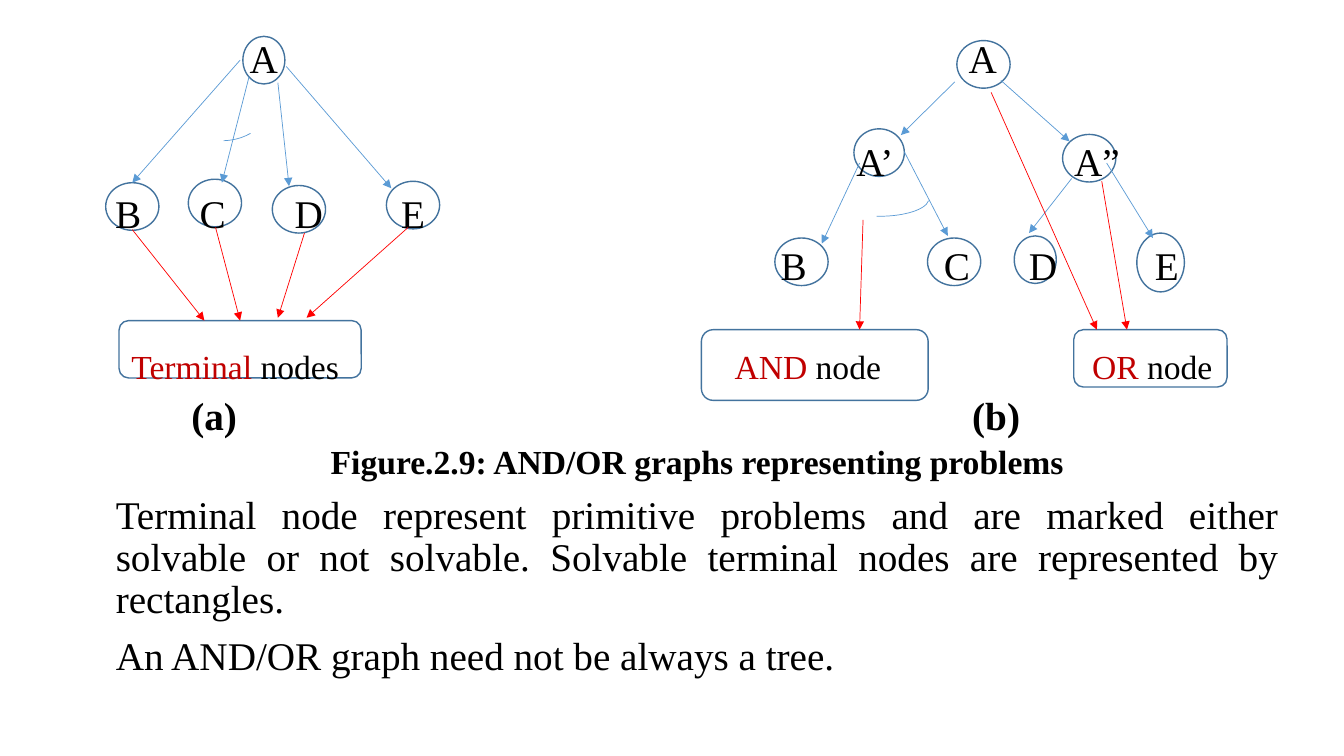
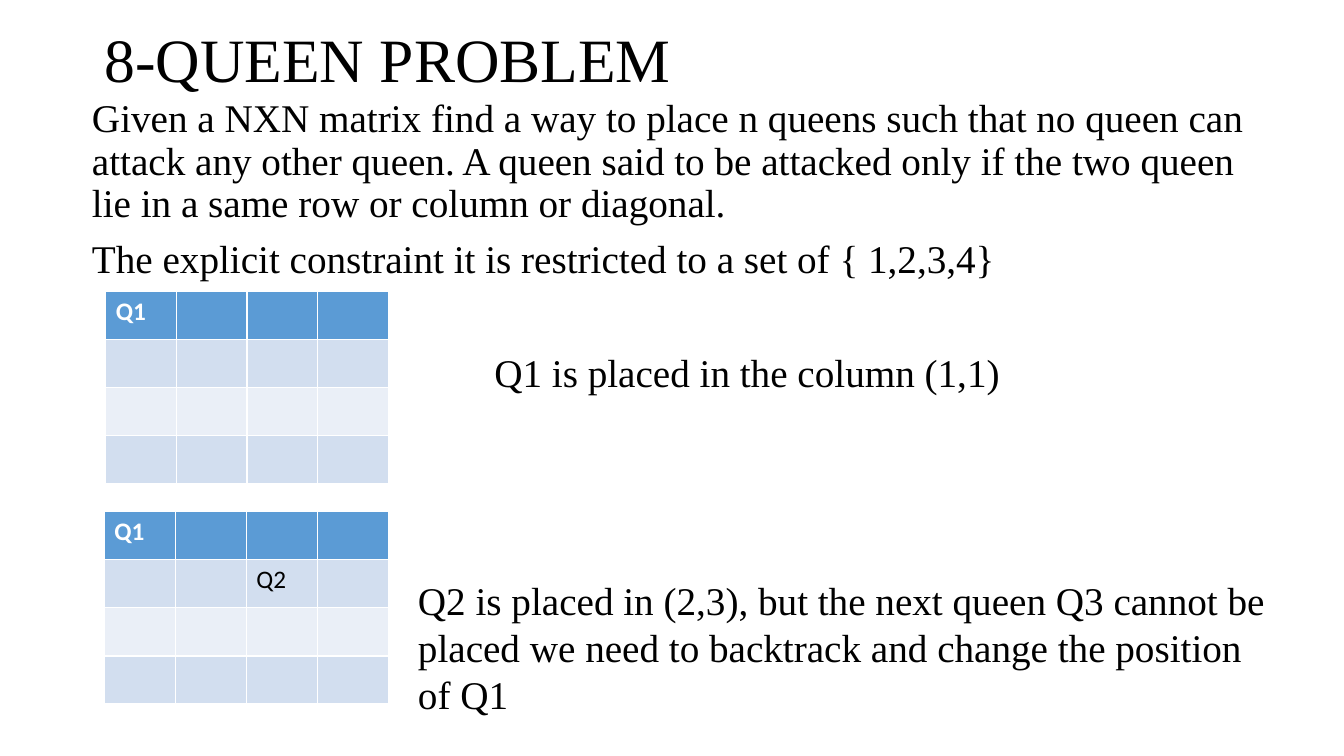
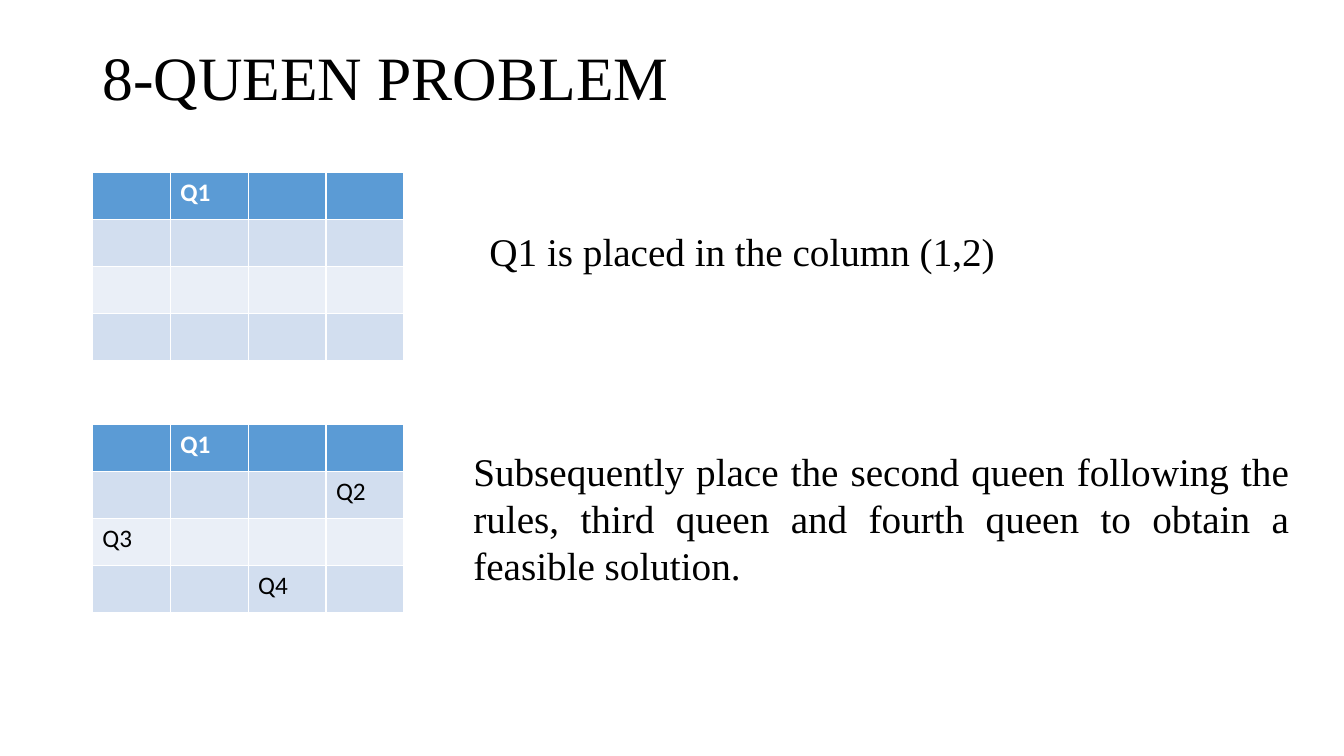
from lxml import etree
from pptx import Presentation
from pptx.dml.color import RGBColor
from pptx.enum.shapes import MSO_CONNECTOR, MSO_SHAPE
from pptx.enum.text import MSO_ANCHOR, MSO_AUTO_SIZE, PP_ALIGN
from pptx.oxml.ns import qn
from pptx.util import Pt

LEFT, CENTER, JUSTIFY = PP_ALIGN.LEFT, PP_ALIGN.CENTER, PP_ALIGN.JUSTIFY
TOP, MIDDLE = MSO_ANCHOR.TOP, MSO_ANCHOR.MIDDLE
ELLIPSE, ROUNDED, ARC = MSO_SHAPE.OVAL, MSO_SHAPE.ROUNDED_RECTANGLE, MSO_SHAPE.ARC
STRAIGHT = MSO_CONNECTOR.STRAIGHT
NO_AUTOFIT = MSO_AUTO_SIZE.NONE

COLORS = {
    "text": "000000", "outline": "43739E", "edge": "5B9BD5", "pointer": "FF0000",
    "keyword": "C00000", "header": "5B9BD5", "header_text": "FFFFFF",
    "band_dark": "D2DEEF", "band_light": "EAEFF7",
}
SERIF, SANS = "Times New Roman", "Calibri"
QUEEN_TITLE = "8-QUEEN PROBLEM"
BOARD_SIZE = 4

# Label, outline (left, top, width, height), label centre
NODES = [
    ("A", (173.5, 26, 30, 34), (188.5, 41.5)),
    ("B", (75.5, 130.5, 38, 34), (91.5, 152)),
    ("C", (134.5, 128, 38, 34), (152, 152)),
    ("D", (194.5, 132.5, 38, 34), (220.5, 152)),
    ("E", (276, 129.5, 38, 34), (295, 152)),
    ("A", (683.5, 29, 38, 34), (702, 41.5)),
    ("A’", (610, 92, 36, 34), (625, 115)),
    ("A”", (759, 96, 38, 34), (783.5, 115)),
    ("B", (553.5, 170, 38, 34), (567, 189.5)),
    ("C", (662.5, 170, 38, 34), (683.5, 189.5)),
    ("D", (724.5, 168.5, 30, 34), (745, 189.5)),
    ("E", (812, 166.5, 34, 42), (833.5, 189.5)),
]
# Keyword, outline, label centre
CALLOUTS = [
    (("Terminal", " nodes"), (85, 229, 173, 41), (168, 261.5)),
    (("AND", " node"), (501, 235.5, 162, 50.5), (577, 261.5)),
    (("OR", " node"), (767, 235.5, 109.5, 41), (823, 261.5)),
]
# Start x, start y, end x, end y
EDGES = [
    (171.5, 43, 94.5, 130.5), (178, 54.5, 158.5, 130.5),
    (198.5, 59, 206.5, 133), (204.5, 47.5, 279.5, 134.5),
    (682, 58.5, 643.5, 96.5), (715, 57.5, 764, 101),
    (614, 116.5, 587, 174), (646, 108.5, 677, 168.5),
    (765.5, 127.5, 735, 166.5), (790.5, 116.5, 823.5, 170),
]
POINTERS = [
    (94.5, 164, 146, 229), (154, 162.5, 171.5, 229),
    (217.5, 166.5, 198.5, 227), (291.5, 162.5, 219, 227),
    (616.5, 157, 614, 235.5), (708, 66, 783.5, 235.5), (787, 129.5, 805, 235.5),
]
# Outline, start angle, end angle
AND_ARCS = [
    ((124.5, 46, 68.5, 54.5), 47.45, 87.87),
    ((593.5, 129.5, 70, 25), 2.31, 100.64),
]


def rgb(name):
    return RGBColor.from_string(COLORS[name])


def points(values):
    return [Pt(value) for value in values]


def place(shape, box):
    shape.left, shape.top, shape.width, shape.height = points(box)


def style_span(span, size, color="text", bold=False, font=SERIF):
    span.font.size = Pt(size)
    span.font.name = font
    span.font.bold = bold
    span.font.color.rgb = rgb(color)


def style_para(para, size, align=LEFT, bold=False, spacing=1.0, before=0):
    para.alignment = align
    para.line_spacing = spacing
    para.space_before = Pt(before)
    for span in para.runs:
        style_span(span, size, bold=bold)


def remove_bullet(para):
    properties = para._p.get_or_add_pPr()
    properties.set("marL", "0")
    properties.set("indent", "0")
    etree.SubElement(properties, qn("a:buNone"))


def add_title(page, box):
    title = page.shapes.title
    place(title, box)
    frame = title.text_frame
    frame.text = QUEEN_TITLE
    frame.vertical_anchor = MIDDLE
    frame.auto_size = NO_AUTOFIT
    style_para(frame.paragraphs[0], 44, spacing=0.9)


def add_body(page, box, lines, align=LEFT):
    body = page.placeholders[1]
    place(body, box)
    frame = body.text_frame
    frame.text = "\n".join(lines)
    frame.vertical_anchor = TOP
    frame.auto_size = NO_AUTOFIT
    for para in frame.paragraphs:
        style_para(para, 28, align, spacing=0.9, before=10)
        remove_bullet(para)
    return frame


def add_text(page, box, text, align=LEFT, bold=False):
    frame = page.shapes.add_textbox(*points(box)).text_frame
    frame.word_wrap = True
    frame.text = text
    style_para(frame.paragraphs[0], 28, align, bold)


def add_outline(page, kind, box, color="outline", width=1):
    shape = page.shapes.add_shape(kind, *points(box))
    shape.shadow.inherit = False
    shape.fill.background()
    shape.line.color.rgb = rgb(color)
    shape.line.width = Pt(width)
    return shape


def add_labelled(page, kind, box, center, words, size):
    """Draw an outline whose text is centred on the given point by its insets."""
    left, top, width, height = box
    shift_x = 2 * (center[0] - left - width / 2)
    shift_y = 2 * (center[1] - top - height / 2)
    frame = add_outline(page, kind, box).text_frame
    frame.word_wrap = False
    frame.vertical_anchor = MIDDLE
    frame.margin_left, frame.margin_right = Pt(max(shift_x, 0)), Pt(max(-shift_x, 0))
    frame.margin_top, frame.margin_bottom = Pt(max(shift_y, 0)), Pt(max(-shift_y, 0))
    para = frame.paragraphs[0]
    for word in words:
        para.add_run().text = word
    style_para(para, size, CENTER)
    return para


def add_arrow(page, ends, color):
    arrow = page.shapes.add_connector(STRAIGHT, *points(ends))
    arrow.line.color.rgb = rgb(color)
    arrow.line.width = Pt(0.5)
    line = arrow.line._get_or_add_ln()
    etree.SubElement(line, qn("a:tailEnd"), type="triangle")
    etree.SubElement(arrow._element.spPr, qn("a:effectLst"))


def add_arc(page, box, start, end):
    arc = add_outline(page, ARC, box, "edge", 0.5)
    for index, degrees in enumerate((start, end)):
        arc.adjustments[index] = degrees * 0.6  # 60000 units a degree, scaled by 100000


def add_board(page, box, queens):
    """Draw a chessboard; queens maps (row, column), counted from 1, to a name."""
    table = page.shapes.add_table(BOARD_SIZE, BOARD_SIZE, *points(box)).table
    for row in range(BOARD_SIZE):
        header = row == 0
        band = "header" if header else "band_dark" if row % 2 else "band_light"
        for column in range(BOARD_SIZE):
            cell = table.cell(row, column)
            cell.fill.solid()
            cell.fill.fore_color.rgb = rgb(band)
            name = queens.get((row + 1, column + 1))
            if name:
                cell.text = name
                span = cell.text_frame.paragraphs[0].runs[0]
                style_span(span, 18, "header_text" if header else "text", header, SANS)


def build_graphs(page):
    title = page.shapes.title._element
    title.getparent().remove(title)
    frame = add_body(page, (75.5, 317, 845, 190), [
        "Figure.2.9: AND/OR graphs representing problems",
        "Terminal node represent primitive problems and are marked either solvable "
        "or not solvable. Solvable terminal nodes are represented by rectangles.",
        "An AND/OR graph need not be always a tree.",
    ], JUSTIFY)
    style_para(frame.paragraphs[0], 24, CENTER, True, 0.8, 10)
    for label, box, center in NODES:
        add_labelled(page, ELLIPSE, box, center, [label], 28)
    for words, box, center in CALLOUTS:
        para = add_labelled(page, ROUNDED, box, center, words, 24)
        para.runs[0].font.color.rgb = rgb("keyword")
    for ends in EDGES:
        add_arrow(page, ends, "edge")
    for box, start, end in AND_ARCS:
        add_arc(page, box, start, end)
    for ends in POINTERS:
        add_arrow(page, ends, "pointer")
    for caption, center in (("(a)", 153), ("(b)", 711.5)):
        add_text(page, (center - 30, 276, 60, 40), caption, CENTER, True)


def build_first_attempt(page):
    add_title(page, (67.5, 16, 828, 57))
    add_body(page, (58.5, 67, 849, 140), [
        "Given a NXN matrix find a way to place n queens such that no queen can attack "
        "any other queen. A queen said to be attacked only if the two queen lie in a "
        "same row or column or diagonal.",
        "The explicit constraint it is restricted to a set of { 1,2,3,4}",
    ])
    add_board(page, (75.5, 208, 202, 137.5), {(1, 1): "Q1"})
    add_board(page, (74.5, 365.5, 203, 137.5), {(1, 1): "Q1", (2, 3): "Q2"})
    add_text(page, (346, 245, 542, 42), "Q1 is placed in the column (1,1)")
    add_text(page, (291.5, 408, 631.5, 109),
             "Q2 is placed in (2,3), but the next queen Q3 cannot be placed we need "
             "to backtrack and change the position of Q1")


def build_solution(page):
    add_title(page, (66, 29, 828, 57.5))
    add_board(page, (66, 123, 222.5, 134.5), {(1, 2): "Q1"})
    add_board(page, (66, 303, 222.5, 134.5),
              {(1, 2): "Q1", (2, 4): "Q2", (3, 1): "Q3", (4, 3): "Q4"})
    add_text(page, (342.5, 158.5, 542, 42), "Q1 is placed in the column (1,2)")
    add_text(page, (331, 316, 597, 109),
             "Subsequently place the second queen following the rules, third queen "
             "and fourth queen to obtain a feasible solution.", JUSTIFY)


def main():
    deck = Presentation()
    deck.slide_width, deck.slide_height = Pt(960), Pt(540)
    content, title_only = deck.slide_layouts[1], deck.slide_layouts[5]
    build_graphs(deck.slides.add_slide(content))
    build_first_attempt(deck.slides.add_slide(content))
    build_solution(deck.slides.add_slide(title_only))
    deck.save("out.pptx")


if __name__ == "__main__":
    main()
